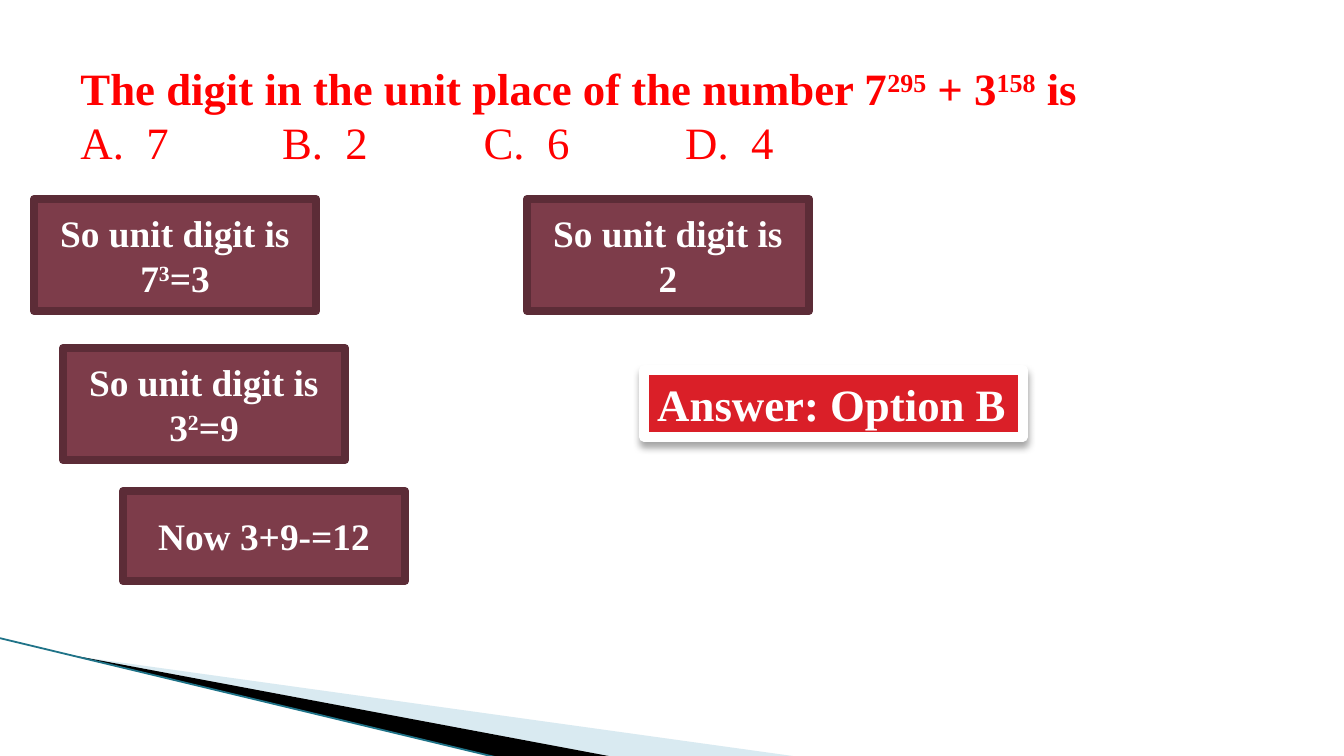
from dataclasses import dataclass

import pptx
import pptx.util
from lxml import etree
from pptx.dml.color import RGBColor
from pptx.enum.shapes import MSO_CONNECTOR, MSO_SHAPE
from pptx.enum.text import MSO_ANCHOR, MSO_AUTO_SIZE, PP_ALIGN
from pptx.oxml.ns import qn

PX = 914400 / 134.4


@dataclass(frozen=True)
class Theme:
    font: str = "Times New Roman"
    question: str = "FF0000"
    step_fill: str = "7D3C4A"
    step_line: str = "5C2C37"
    answer: str = "DA1F28"
    white: str = "FFFFFF"
    black: str = "000000"
    wedge: str = "A0CBDC"
    edge: str = "1F7388"
    large: int = 24
    medium: int = 20


THEME = Theme()


def px(length):
    return pptx.util.Emu(round(length * PX))


def add_child(parent, tag, **attributes):
    return etree.SubElement(parent, qn(tag), attributes)


def add_runs(paragraph, text, size, color, bold=True):
    """Add text to the paragraph, raising the parts between ^ marks."""
    for index, part in enumerate(text.split("^")):
        run = paragraph.add_run()
        run.text = part
        run.font.name = THEME.font
        run.font.size = pptx.util.Pt(size)
        run.font.bold = bold
        run.font.color.rgb = RGBColor.from_string(color)
        if index % 2:
            run.font._element.set("baseline", "30000")


def add_question(slide, box, question, options):
    title = slide.shapes.title
    title.left, title.top, title.width, title.height = map(px, box)
    frame = title.text_frame
    frame.word_wrap = True
    frame.auto_size = MSO_AUTO_SIZE.NONE
    frame.vertical_anchor = MSO_ANCHOR.TOP
    paragraph = frame.paragraphs[0]
    paragraph.alignment = PP_ALIGN.LEFT
    add_runs(paragraph, question, THEME.large, THEME.question)
    paragraph.add_line_break()
    add_runs(paragraph, "\t\t".join(options), THEME.large, THEME.question, bold=False)


def add_panel(slide, box, fill, line, line_width):
    """Add a filled rectangle whose outline has rounded corners."""
    panel = slide.shapes.add_shape(MSO_SHAPE.RECTANGLE, *map(px, box))
    panel.shadow.inherit = False
    panel.fill.solid()
    panel.fill.fore_color.rgb = RGBColor.from_string(fill)
    panel.line.color.rgb = RGBColor.from_string(line)
    panel.line.width = pptx.util.Pt(line_width)
    add_child(panel.line._ln, "a:round")
    return panel


def add_step(slide, box, text):
    step = add_panel(slide, box, THEME.step_fill, THEME.step_line, 4.33)
    step.text_frame.vertical_anchor = MSO_ANCHOR.MIDDLE
    paragraph = step.text_frame.paragraphs[0]
    paragraph.alignment = PP_ALIGN.CENTER
    add_runs(paragraph, text, THEME.medium, THEME.white)


def add_answer(slide, box, text):
    answer = add_panel(slide, box, THEME.answer, THEME.white, 5)
    effects = answer._element.spPr.find(qn("a:effectLst"))
    shadow = add_child(effects, "a:outerShdw", blurRad="50800", dist="38100",
                       dir="5400000", rotWithShape="0")
    color = add_child(shadow, "a:srgbClr", val=THEME.black)
    add_child(color, "a:alpha", val="35000")
    frame = answer.text_frame
    frame.word_wrap = False
    frame.auto_size = MSO_AUTO_SIZE.SHAPE_TO_FIT_TEXT
    frame.vertical_anchor = MSO_ANCHOR.TOP
    paragraph = frame.paragraphs[0]
    paragraph.alignment = PP_ALIGN.LEFT
    add_runs(paragraph, text, THEME.large, THEME.white)


def add_wedge(slide, points, color, opacity=100):
    builder = slide.shapes.build_freeform(*points[0], scale=PX)
    builder.add_line_segments(points[1:], close=True)
    wedge = builder.convert_to_shape()
    wedge.shadow.inherit = False
    wedge.fill.solid()
    wedge.fill.fore_color.rgb = RGBColor.from_string(color)
    wedge.line.fill.background()
    if opacity < 100:
        fill_color = wedge._element.spPr.find(qn("a:solidFill"))[0]
        add_child(fill_color, "a:alpha", val=str(opacity * 1000))


def add_corner(slide, left, top):
    """Draw the two wedges and the thin edge in the lower left corner."""
    def place(*points):
        return [(left + x, top + y) for x, y in points]

    add_wedge(slide, place((74, 18), (800, 119), (613, 119)), THEME.wedge, 40)
    add_wedge(slide, place((71, 17), (614, 119), (500, 120), (73, 18)), THEME.black)
    start, end = place((-1, 0), (499, 120))
    edge = slide.shapes.add_connector(MSO_CONNECTOR.STRAIGHT, *map(px, start + end))
    edge.line.color.rgb = RGBColor.from_string(THEME.edge)
    edge.line.width = pptx.util.Pt(0.95)
    add_child(edge._element.spPr, "a:effectLst")


def main():
    presentation = pptx.Presentation()
    presentation.slide_width, presentation.slide_height = px(1344), px(756)
    slide = presentation.slides.add_slide(presentation.slide_layouts[5])

    add_corner(slide, 0, 638)
    add_question(
        slide, (67, 54, 1153, 122),
        "The digit in the unit place of the number 7^295^ + 3^158^ is",
        ["A.  7", "B.  2", "C.  6", "D.  4"],
    )
    steps = [
        (34, 199, 112, "So unit digit is 7^3^=3"),
        (63, 348, 112, "So unit digit is 3^2^=9"),
        (123, 491, 90, "Now 3+9-=12"),
        (527, 199, 112, "So unit digit is 2"),
    ]
    for left, top, height, text in steps:
        add_step(slide, (left, top, 282, height), text)
    add_answer(slide, (644, 370, 379, 67), "Answer: Option B")

    presentation.save("out.pptx")


if __name__ == "__main__":
    main()
